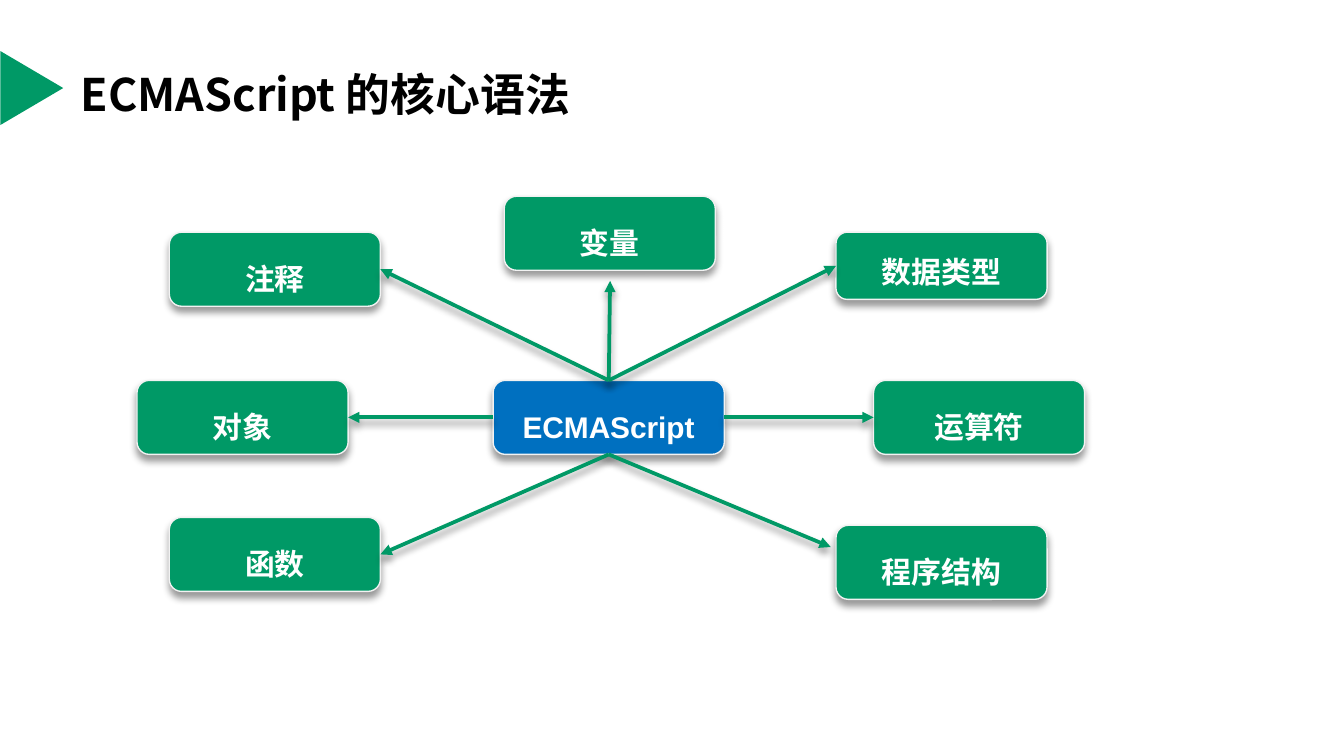
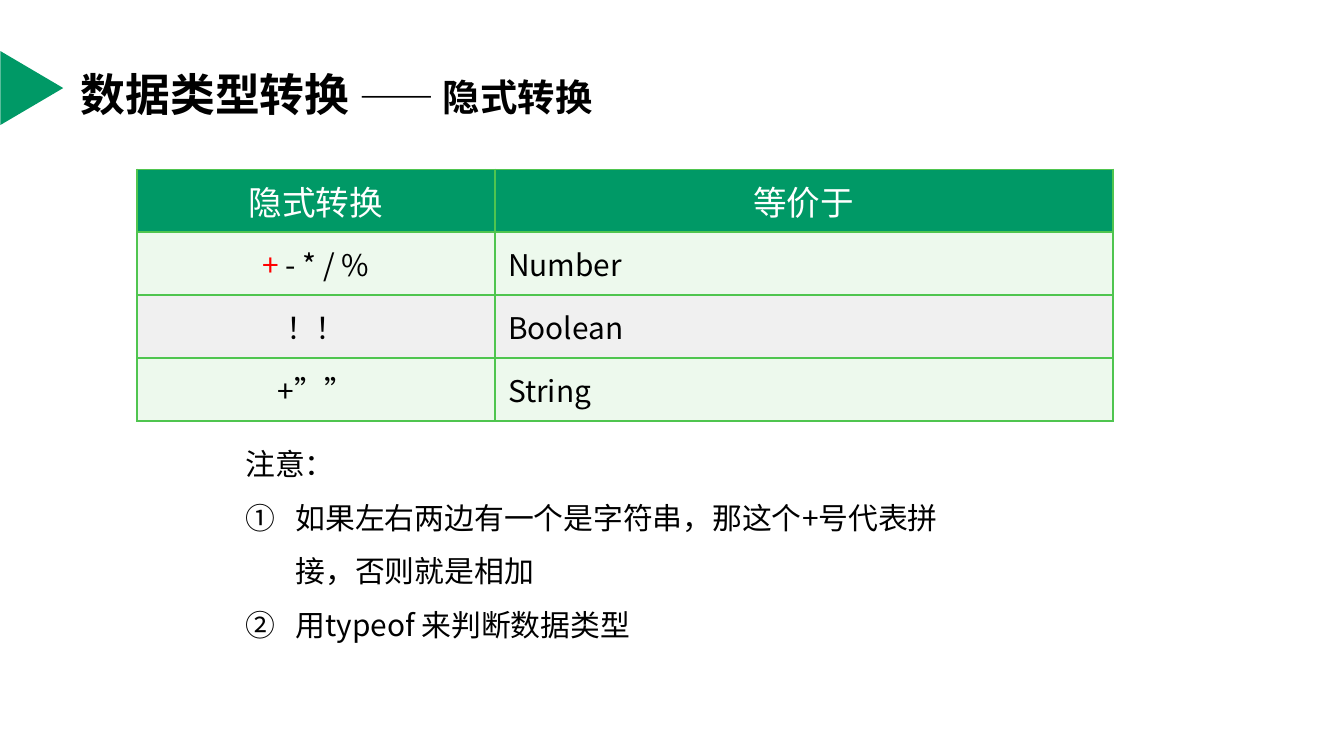
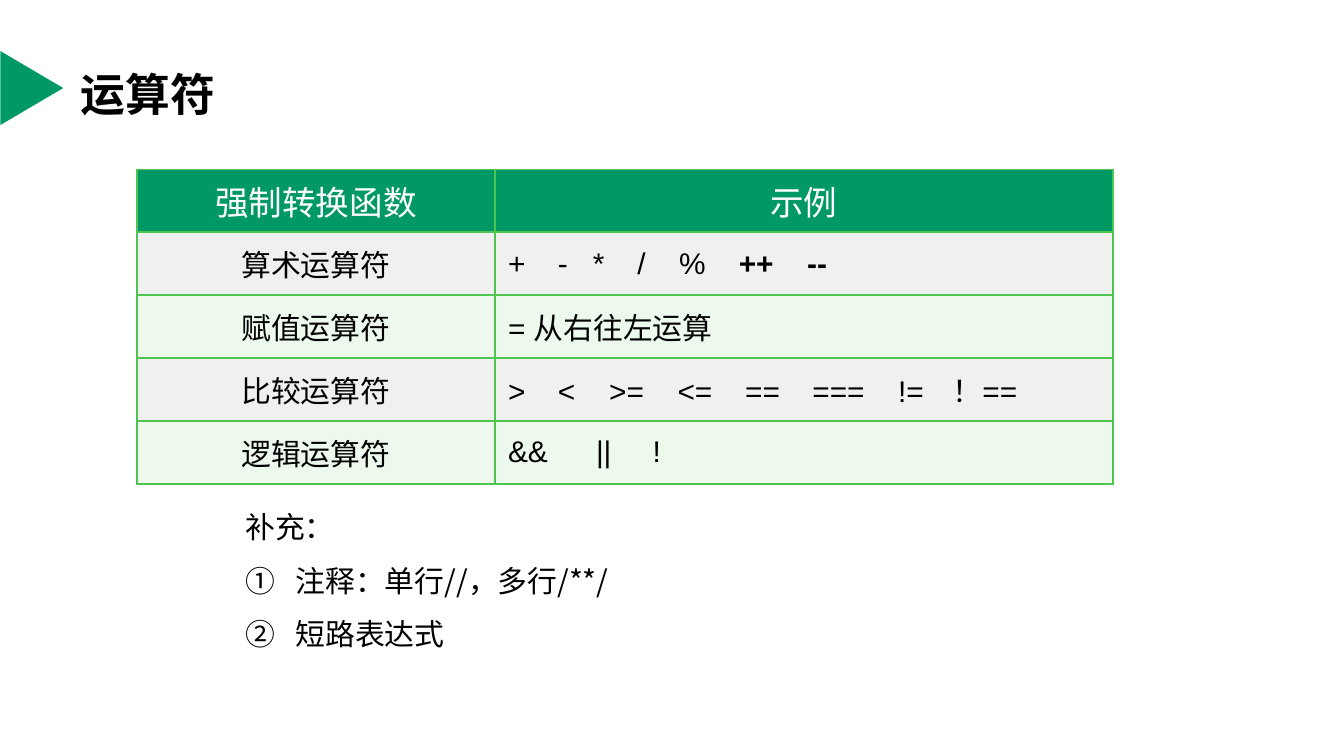
from dataclasses import dataclass
from itertools import cycle

from lxml import etree
from pptx import Presentation
from pptx import util as u
from pptx.dml.color import RGBColor
from pptx.enum import shapes, text
from pptx.oxml import ns

HUES = {
    "green": "009966", "blue": "0070C0", "rim": "F2F2F2", "grid": "4FC54F",
    "mint": "EDF9ED", "ash": "F0F0F0", "red": "FF0000", "black": "000000",
    "white": "FFFFFF",
}
NOTO = "Noto Sans CJK SC"
ARIAL = "Arial"
ROW = 1.19
COLS = (6.76, 11.68)
LEFT, TOP = 2.59, 3.2
TOP_SIDE, LEFT_SIDE, BASE_SIDE, RIGHT_SIDE = range(4)


@dataclass
class Bit:
    """A piece of text with one look."""
    text: str
    size: float = 16
    hue: str = "black"
    bold: bool = False
    face: str = NOTO


@dataclass
class Node:
    """A box of the map; its arrow leaves the hub at side `out`."""
    name: str
    x: float
    y: float
    out: int
    side: int = LEFT_SIDE
    high: float = 1.4
    tip: tuple[float, float] | None = None


@dataclass
class Line:
    """A table row; `tabs` are the stops of its right cell."""
    head: list[Bit]
    body: list[Bit]
    tabs: tuple[float, ...] = ()


NODES = [
    Node("变量", 9.53, 3.71, TOP_SIDE, tip=(11.53, 5.31)),
    Node("数据类型", 15.8, 4.39, TOP_SIDE, high=1.27),
    Node("注释", 3.2, 4.39, TOP_SIDE, RIGHT_SIDE),
    Node("对象", LEFT, 7.19, LEFT_SIDE, RIGHT_SIDE),
    Node("函数", 3.2, 9.78, BASE_SIDE, RIGHT_SIDE),
    Node("运算符", 16.51, 7.19, RIGHT_SIDE),
    Node("程序结构", 15.8, 9.93, BASE_SIDE, tip=(15.7, 10.34)),
]

CASTS = [
    Line([Bit("+", hue="red"), Bit(" - * / %")], [Bit("Number")]),
    Line([Bit("！！")], [Bit("Boolean")]),
    Line([Bit("+””")], [Bit("String")]),
]

SIGNS = [
    Line([Bit("算术运算符", face=ARIAL)],
         [Bit("+\t-\t*\t/\t%\t", face=ARIAL),
          Bit("++\t--", bold=True, face=ARIAL)],
         (0.94, 1.6, 2.44, 3.23, 4.36, 5.65)),
    Line([Bit("赋值运算符", face=ARIAL)], [Bit("= 从右往左运算", face=ARIAL)]),
    Line([Bit("比较运算符", face=ARIAL)],
         [Bit(">\t<\t>=\t<=\t==\t===\t!=\t！==", face=ARIAL)],
         (0.94, 1.91, 3.2, 4.48, 5.75, 7.37, 8.4)),
    Line([Bit("逻辑运算符", face=ARIAL)], [Bit("&&\t||\t!", face=ARIAL)],
         (1.66, 2.73)),
]


def tint(name: str) -> RGBColor:
    return RGBColor.from_string(HUES[name])


def sub(root, tag: str, **attrs):
    """Append a DrawingML child to an element."""
    return etree.SubElement(root, ns.qn("a:" + tag),
                            {key: str(val) for key, val in attrs.items()})


def write(para, bits: list[Bit]) -> None:
    for bit in bits:
        run = para.add_run()
        run.text = bit.text
        font = run.font
        font.size, font.bold, font.name = u.Pt(bit.size), bit.bold, bit.face
        font.color.rgb = tint(bit.hue)
        sub(run._r.get_or_add_rPr(), "ea", typeface=NOTO)


def shade(shape) -> None:
    """Give a shape or connector a soft shadow below it."""
    effect = sub(shape.element.spPr, "effectLst")
    drop = sub(effect, "outerShdw", blurRad=u.Pt(4), dist=u.Pt(3),
               dir=5400000, algn="t", rotWithShape=0)
    sub(sub(drop, "srgbClr", val=HUES["black"]), "alpha", val=40000)


def start(deck, title: list[Bit]):
    """Add a slide with the green marker and its title."""
    slide = deck.slides.add_slide(deck.slide_layouts[5])
    mark = slide.shapes.add_shape(
        shapes.MSO_SHAPE.ISOSCELES_TRIANGLE,
        u.Cm(-0.1), u.Cm(1.07), u.Cm(1.4), u.Cm(ROW))
    mark.rotation = 90
    mark.shadow.inherit = False
    mark.fill.solid()
    mark.fill.fore_color.rgb = tint("green")
    mark.line.fill.background()

    head = slide.shapes.title
    head.left, head.top = u.Cm(1.27), u.Cm(0.58)
    head.width, head.height = u.Cm(22.86), u.Cm(2.39)
    frame = head.text_frame
    frame.auto_size = text.MSO_AUTO_SIZE.NONE
    frame.vertical_anchor = text.MSO_ANCHOR.MIDDLE
    para = frame.paragraphs[0]
    para.alignment = text.PP_ALIGN.LEFT
    write(para, title)
    return slide


def box(slide, name: str, x: float, y: float, wide: float = 3.99,
        high: float = 1.4, hue: str = "green"):
    shape = slide.shapes.add_shape(
        shapes.MSO_SHAPE.ROUNDED_RECTANGLE,
        u.Cm(x), u.Cm(y), u.Cm(wide), u.Cm(high))
    shape.fill.solid()
    shape.fill.fore_color.rgb = tint(hue)
    shape.line.color.rgb = tint("rim")
    shape.line.width = u.Pt(0.75)
    shade(shape)
    frame = shape.text_frame
    frame.vertical_anchor = text.MSO_ANCHOR.BOTTOM
    para = frame.paragraphs[0]
    para.alignment = text.PP_ALIGN.CENTER
    para.line_spacing = 1.5
    para.space_before = u.Pt(3.2)
    write(para, [Bit(name, hue="white", bold=True, face=ARIAL)])
    return shape


def arrow(slide, hub, goal, node: Node) -> None:
    """Draw an arrow from the hub to a box, or to the node's own tip."""
    x, y = node.tip or (0, 0)
    line = slide.shapes.add_connector(
        shapes.MSO_CONNECTOR.STRAIGHT, 0, 0, u.Cm(x), u.Cm(y))
    line.begin_connect(hub, node.out)
    if node.tip is None:
        line.end_connect(goal, node.side)
    line.line.color.rgb = tint("green")
    line.line.width = u.Pt(2)
    sub(line.line._get_or_add_ln(), "tailEnd", type="triangle")
    shade(line)


def fill(cell, bits: list[Bit], hue: str, mid: bool,
         tabs: tuple[float, ...] = ()) -> None:
    """Set the text, fill and borders of a table cell."""
    cell.vertical_anchor = text.MSO_ANCHOR.MIDDLE
    para = cell.text_frame.paragraphs[0]
    para.alignment = text.PP_ALIGN.CENTER if mid else text.PP_ALIGN.LEFT
    if tabs:
        stops = sub(para._p.get_or_add_pPr(), "tabLst")
        for tab in tabs:
            sub(stops, "tab", pos=u.Cm(tab), algn="l")
    write(para, bits)

    props = cell._tc.get_or_add_tcPr()
    for side in ("lnL", "lnR", "lnT", "lnB"):
        edge = sub(props, side, w=u.Pt(1))
        sub(sub(edge, "solidFill"), "srgbClr", val=HUES["grid"])
    sub(sub(props, "solidFill"), "srgbClr", val=HUES[hue])


def grid(slide, heads: tuple[str, str], lines: list[Line],
         bands: tuple[str, str]) -> float:
    """Add a table and return where it ends."""
    count = len(lines) + 1
    table = slide.shapes.add_table(
        count, len(COLS), u.Cm(LEFT), u.Cm(TOP),
        u.Cm(sum(COLS)), u.Cm(ROW * count)).table
    table.horz_banding = False
    for col, wide in zip(table.columns, COLS):
        col.width = u.Cm(wide)
    for row in table.rows:
        row.height = u.Cm(ROW)
    for col, head in enumerate(heads):
        fill(table.cell(0, col), [Bit(head, 18, "white")], "green", True)
    for row, (line, hue) in enumerate(zip(lines, cycle(bands)), 1):
        fill(table.cell(row, 0), line.head, hue, True)
        fill(table.cell(row, 1), line.body, hue, False, line.tabs)
    return TOP + ROW * count


def notes(slide, top: float, high: float, lead: str, items: list[str]) -> None:
    """Add a lead line with a circled, numbered list below it."""
    area = slide.shapes.add_textbox(
        u.Cm(4.39), u.Cm(top), u.Cm(14.12), u.Cm(high))
    frame = area.text_frame
    frame.word_wrap = True
    frame.auto_size = text.MSO_AUTO_SIZE.SHAPE_TO_FIT_TEXT
    for num, item in enumerate([lead, *items]):
        para = frame.add_paragraph() if num else frame.paragraphs[0]
        para.line_spacing = 1.5
        if num:
            props = para._p.get_or_add_pPr()
            props.set("marL", str(u.Cm(0.95)))
            props.set("indent", str(u.Cm(-0.95)))
            sub(props, "buAutoNum", type="circleNumDbPlain")
        write(para, [Bit(item)])


def syntax(deck) -> None:
    slide = start(deck, [Bit("ECMAScript 的核心语法", 24, bold=True)])
    hub = box(slide, "ECMAScript", 9.32, 7.19, wide=4.37, hue="blue")
    for node in NODES:
        goal = box(slide, node.name, node.x, node.y, high=node.high)
        arrow(slide, hub, goal, node)


def casts(deck) -> None:
    slide = start(deck, [Bit("数据类型转换 ", 24, bold=True),
                         Bit("—— 隐式转换", 20, bold=True)])
    end = grid(slide, ("隐式转换", "等价于"), CASTS, ("mint", "ash"))
    notes(slide, end, 4.32, "注意：", [
        "如果左右两边有一个是字符串，那这个+号代表拼接，否则就是相加",
        "用typeof 来判断数据类型",
    ])


def signs(deck) -> None:
    slide = start(deck, [Bit("运算符", 24, bold=True)])
    end = grid(slide, ("强制转换函数", "示例"), SIGNS, ("ash", "mint"))
    notes(slide, end, 3.3, "补充：", ["注释：单行//，多行/**/", "短路表达式"])


def main() -> None:
    deck = Presentation()
    deck.slide_width, deck.slide_height = u.Cm(25.4), u.Cm(14.29)
    syntax(deck)
    casts(deck)
    signs(deck)
    deck.save("out.pptx")


if __name__ == "__main__":
    main()
